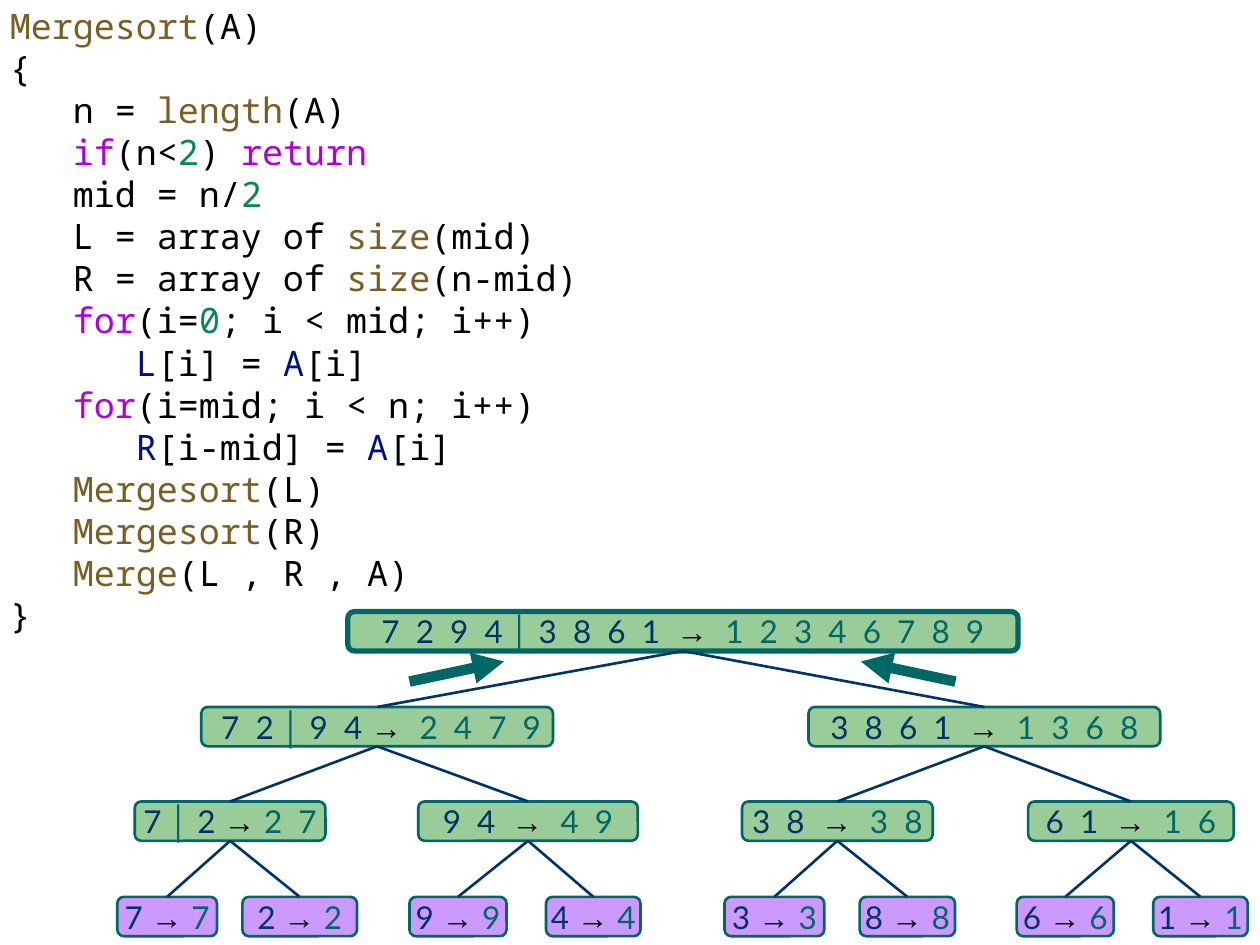
from pptx import Presentation
from pptx.dml.color import RGBColor
from pptx.enum.shapes import MSO_CONNECTOR as Connector, MSO_SHAPE as Shape
from pptx.enum.text import MSO_ANCHOR as Anchor, MSO_AUTO_SIZE as AutoSize, PP_ALIGN as Align
from pptx.oxml.xmlchemy import OxmlElement
from pptx.util import Pt

PLAIN, CALL, KEYWORD, NUMBER, VARIABLE = "000000", "795E26", "AF00DB", "098658", "001080"
NAVY, TEAL, GREEN, PURPLE = "003366", "006666", "99CC99", "CC99FF"
INDENT = 36
NODE_HEIGHT = 22.5
LEVEL_TOPS = [349.5, 404, 458, 512.5]

CODE = [
    (0, [("Mergesort", CALL), ("(A)", PLAIN)]),
    (0, [("{", PLAIN)]),
    (1, [("n = ", PLAIN), ("length", CALL), ("(A)", PLAIN)]),
    (1, [("if", KEYWORD), ("(n<", PLAIN), ("2", NUMBER), (") ", PLAIN), ("return", KEYWORD)]),
    (1, [("mid = n/", PLAIN), ("2", NUMBER)]),
    (1, [("L = array of ", PLAIN), ("size", CALL), ("(mid)", PLAIN)]),
    (1, [("R = array of ", PLAIN), ("size", CALL), ("(n-mid)", PLAIN)]),
    (1, [("for", KEYWORD), ("(i=", PLAIN), ("0", NUMBER), ("; i < mid; i++)", PLAIN)]),
    (2, [("L", VARIABLE), ("[i] = ", PLAIN), ("A", VARIABLE), ("[i]", PLAIN)]),
    (1, [("for", KEYWORD), ("(i=mid; i < n; i++)", PLAIN)]),
    (2, [("R", VARIABLE), ("[i-mid] = ", PLAIN), ("A", VARIABLE), ("[i]", PLAIN)]),
    (1, [("Mergesort", CALL), ("(L)", PLAIN)]),
    (1, [("Mergesort", CALL), ("(R)", PLAIN)]),
    (1, [("Merge", CALL), ("(L , R , A)", PLAIN)]),
    (0, [("}", PLAIN)]),
]

TREE = [
    [(198.75, 383, "7  2  9  4 │ 3  8  6  1  →  1  2  3  4  6  7  8  9")],
    [(115, 201, " 7  2 │ 9  4 →  2  4  7  9"), (462, 201, "3  8  6  1  →  1  3  6  8")],
    [(77, 109, "7 │ 2 → 2  7"), (239, 125.5, "9  4  →  4  9"),
     (424, 109, "3  8  →  3  8"), (587.5, 117.5, "6  1  →  1  6")],
    [(67, 57, "7 → 7"), (138.5, 65.5, "2 → 2"), (234, 55.5, "9 → 9"), (312, 54, "4 → 4"),
     (414, 57, "3 → 3"), (491.25, 54.5, "8 → 8"), (581, 55.5, "6 → 6"), (659, 54, "1 → 1")],
]


def color(hex_code):
    return RGBColor.from_string(hex_code)


def add_text(paragraph, text, font="Lato", size=18, fill=PLAIN, bold=False):
    run = paragraph.add_run()
    run.text = text
    run.font.name = font
    run.font.size = Pt(size)
    run.font.bold = bold
    run.font.color.rgb = color(fill)


def add_code(slide):
    listing = slide.shapes.add_textbox(Pt(-1.5), Pt(-0.75), Pt(538.5), Pt(371)).text_frame
    listing.word_wrap = True
    listing.auto_size = AutoSize.SHAPE_TO_FIT_TEXT
    for number, (depth, tokens) in enumerate(CODE):
        line = listing.add_paragraph() if number else listing.paragraphs[0]
        line.line_spacing = Pt(24)
        line._p.get_or_add_pPr().set("marL", str(Pt(depth * INDENT)))
        for text, fill in tokens:
            add_text(line, text, font="Noto Sans Mono", size=20, fill=fill)


def add_node(slide, left, top, width, label, fill, border):
    node = slide.shapes.add_shape(Shape.ROUNDED_RECTANGLE, Pt(left), Pt(top), Pt(width), Pt(NODE_HEIGHT))
    node.shadow.inherit = False
    node.fill.solid()
    node.fill.fore_color.rgb = color(fill)
    node.line.color.rgb = color(TEAL)
    node.line.width = Pt(border)
    frame = node.text_frame
    frame.word_wrap = False
    frame.vertical_anchor = Anchor.MIDDLE
    values = frame.paragraphs[0]
    values.alignment = Align.CENTER

    unsorted, arrow, result = label.partition("→")
    left_half, divider, right_half = unsorted.partition("│")
    ordered = result.lstrip()
    gap = result[:len(result) - len(ordered)]
    add_text(values, left_half, fill=NAVY)
    if divider:
        add_text(values, divider, font="Arial", fill=TEAL, bold=True)
        add_text(values, right_half, fill=NAVY)
    add_text(values, arrow + gap, font="Arial", bold=True)
    add_text(values, ordered, fill=TEAL)
    return node


def add_line(slide, start, end, fill, width):
    ends = [Pt(value) for value in (*start, *end)]
    line = slide.shapes.add_connector(Connector.STRAIGHT, *ends)
    line.line.color.rgb = color(fill)
    line.line.width = Pt(width)
    line._element.spPr.append(OxmlElement("a:effectLst"))
    return line


def add_branch(slide, child, parent):
    branch = add_line(slide, (0, 0), (0, 0), NAVY, 1.5)
    branch.begin_connect(child, 0)
    branch.end_connect(parent, 2)


def add_merge_arrow(slide, tip, tail):
    arrow = add_line(slide, tip, tail, TEAL, 6)
    head = OxmlElement("a:headEnd")
    head.set("type", "triangle")
    arrow.line._get_or_add_ln().append(head)


def add_tree(slide):
    parents = []
    for level, (top, row) in enumerate(zip(LEVEL_TOPS, TREE)):
        fill = PURPLE if level == len(TREE) - 1 else GREEN
        border = 1.5 if level else 3
        nodes = [add_node(slide, left, top, width, label, fill, border) for left, width, label in row]
        if parents:
            for position, child in enumerate(nodes):
                add_branch(slide, child, parents[position // 2])
        parents = nodes


def main():
    deck = Presentation()
    deck.slide_width, deck.slide_height = Pt(720), Pt(540)
    slide = deck.slides.add_slide(deck.slide_layouts[6])
    add_code(slide)
    add_tree(slide)
    add_merge_arrow(slide, (288, 378), (234, 389.5))
    add_merge_arrow(slide, (492, 378), (546, 389.5))
    deck.save("out.pptx")


if __name__ == "__main__":
    main()
